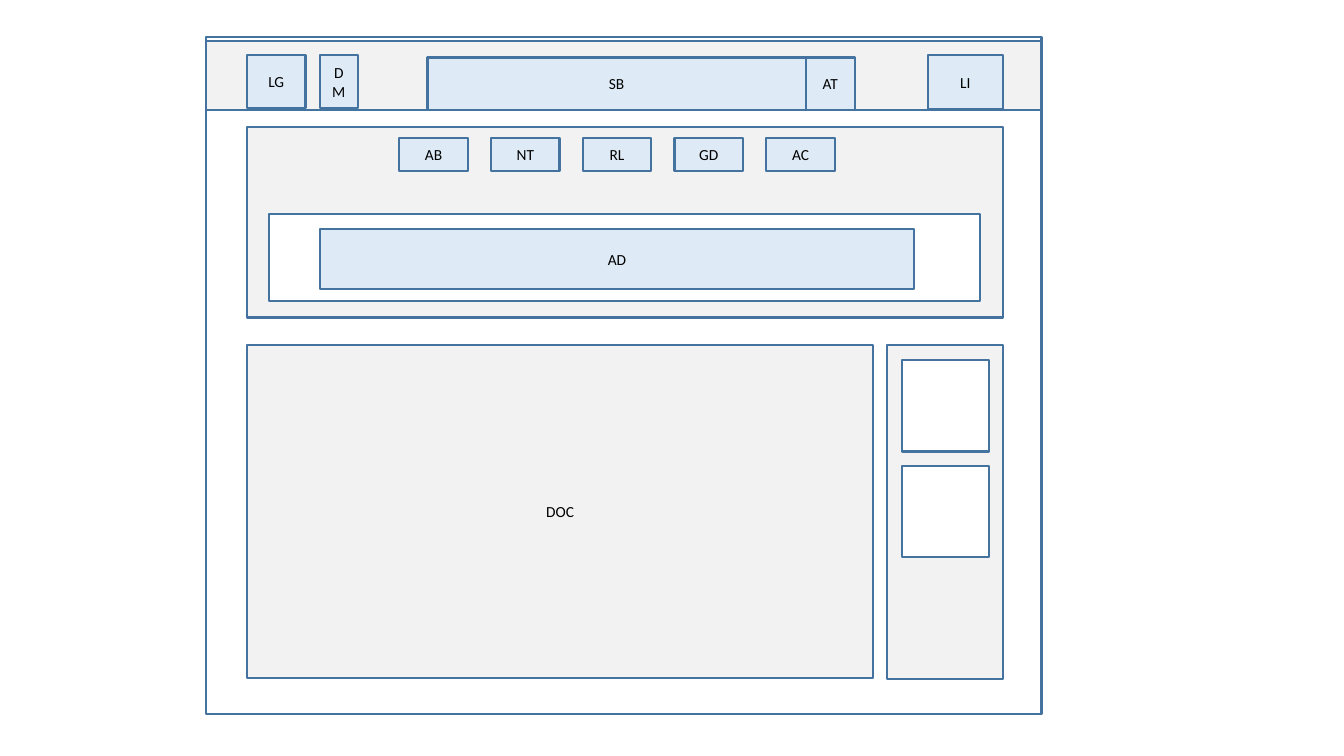
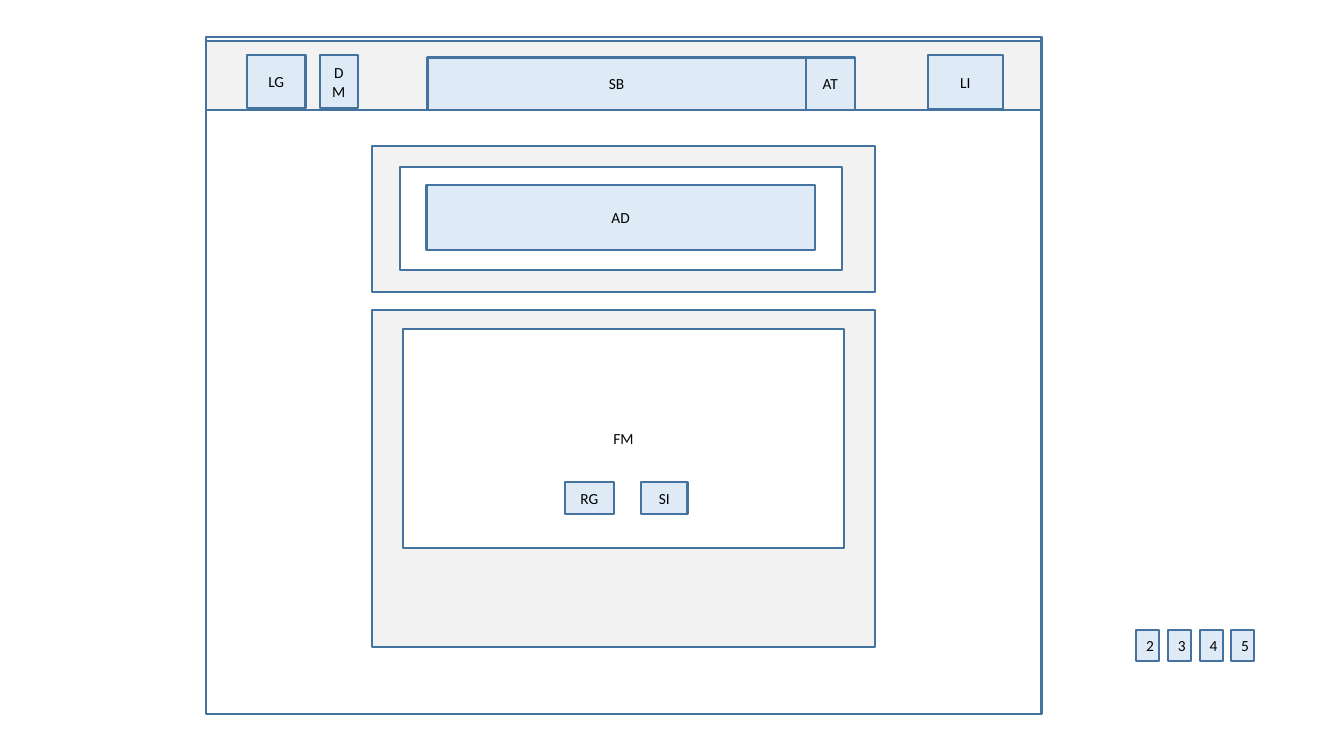
"""Builds two page wireframes that share one frame and header."""
from pptx import Presentation
from pptx.dml.color import RGBColor
from pptx.enum import shapes, text
from pptx.util import Inches, Pt

FONT = "Calibri"
INK = "000000"
OUTLINE = "43739E"
PAGE = "FFFFFF"
REGION = "F2F2F2"
CONTROL = "DEEBF7"


def colour(value):
    """Turn a hex string into a colour."""
    return RGBColor.from_string(value)


def write(box, words, size=11, ink=INK, align=text.PP_ALIGN.CENTER):
    """Write one formatted paragraph in the middle of a box."""
    frame = box.text_frame
    frame.word_wrap = True
    frame.vertical_anchor = text.MSO_ANCHOR.MIDDLE
    para = frame.paragraphs[0]
    para.alignment = align
    span = para.add_run()
    span.text = words
    span.font.name = FONT
    span.font.size = Pt(size)
    span.font.color.rgb = colour(ink)


def add_box(slide, left, top, width, height, fill=CONTROL, label=""):
    """Add an outlined rectangle with an optional label."""
    box = slide.shapes.add_shape(
        shapes.MSO_SHAPE.RECTANGLE,
        Inches(left), Inches(top), Inches(width), Inches(height))
    box.shadow.inherit = False
    box.fill.solid()
    box.fill.fore_color.rgb = colour(fill)
    box.line.color.rgb = colour(OUTLINE)
    box.line.width = Pt(1.5)
    if label:
        write(box, label)
    return box


def add_row(slide, labels, left, top, width, height, pitch):
    """Add equal controls in a row, one every pitch."""
    for index, label in enumerate(labels):
        add_box(slide, left + index * pitch, top, width, height, label=label)


def add_page(deck):
    """Add a slide with the page frame and its header."""
    slide = deck.slides.add_slide(deck.slide_layouts.get_by_name("Blank"))
    add_box(slide, 2.04, 0.37, 8.29, 6.71, PAGE)
    add_box(slide, 2.04, 0.41, 8.29, 0.68, REGION)
    add_box(slide, 4.24, 0.57, 3.75, 0.52, label="SB")
    add_box(slide, 2.45, 0.55, 0.58, 0.52, label="LG")
    add_box(slide, 9.2, 0.55, 0.75, 0.53, label="LI")
    add_box(slide, 7.99, 0.57, 0.49, 0.52, label="AT")
    add_box(slide, 3.17, 0.55, 0.38, 0.52, label="DM")
    return slide


def build_document_page(deck):
    """Build the page with a menu, a document and a side column."""
    slide = add_page(deck)
    add_box(slide, 2.45, 1.26, 7.5, 1.89, REGION)
    add_row(slide, ["AB", "NT", "RL", "GD", "AC"], 3.96, 1.37, 0.68, 0.33, 0.91)
    add_box(slide, 2.67, 2.12, 7.05, 0.87, PAGE)
    add_box(slide, 3.17, 2.27, 5.9, 0.6, label="AD")
    add_box(slide, 2.45, 3.42, 6.21, 3.31, REGION, "DOC")
    add_box(slide, 8.8, 3.42, 1.15, 3.32, REGION)
    for top in (3.57, 4.62):
        add_box(slide, 8.95, top, 0.86, 0.91, PAGE)


def build_form_page(deck):
    """Build the page with a form and numbered markers beside it."""
    slide = add_page(deck)
    add_row(slide, "2345", 11.27, 6.25, 0.23, 0.31, 0.314)
    add_box(slide, 3.69, 3.08, 4.99, 3.34, REGION)
    add_box(slide, 4, 3.26, 4.37, 2.18, PAGE, "FM")
    add_box(slide, 5.6, 4.78, 0.49, 0.32, label="RG")
    add_box(slide, 6.36, 4.78, 0.46, 0.32, label="SI")
    add_box(slide, 3.69, 1.45, 4.99, 1.45, REGION)
    add_box(slide, 3.97, 1.66, 4.38, 1.02, PAGE)
    add_box(slide, 4.23, 1.84, 3.85, 0.64, label="AD")


def main():
    """Build the deck and save it."""
    deck = Presentation()
    deck.slide_width = Inches(13.33)
    deck.slide_height = Inches(7.5)
    build_document_page(deck)
    build_form_page(deck)
    deck.save("out.pptx")


main()
